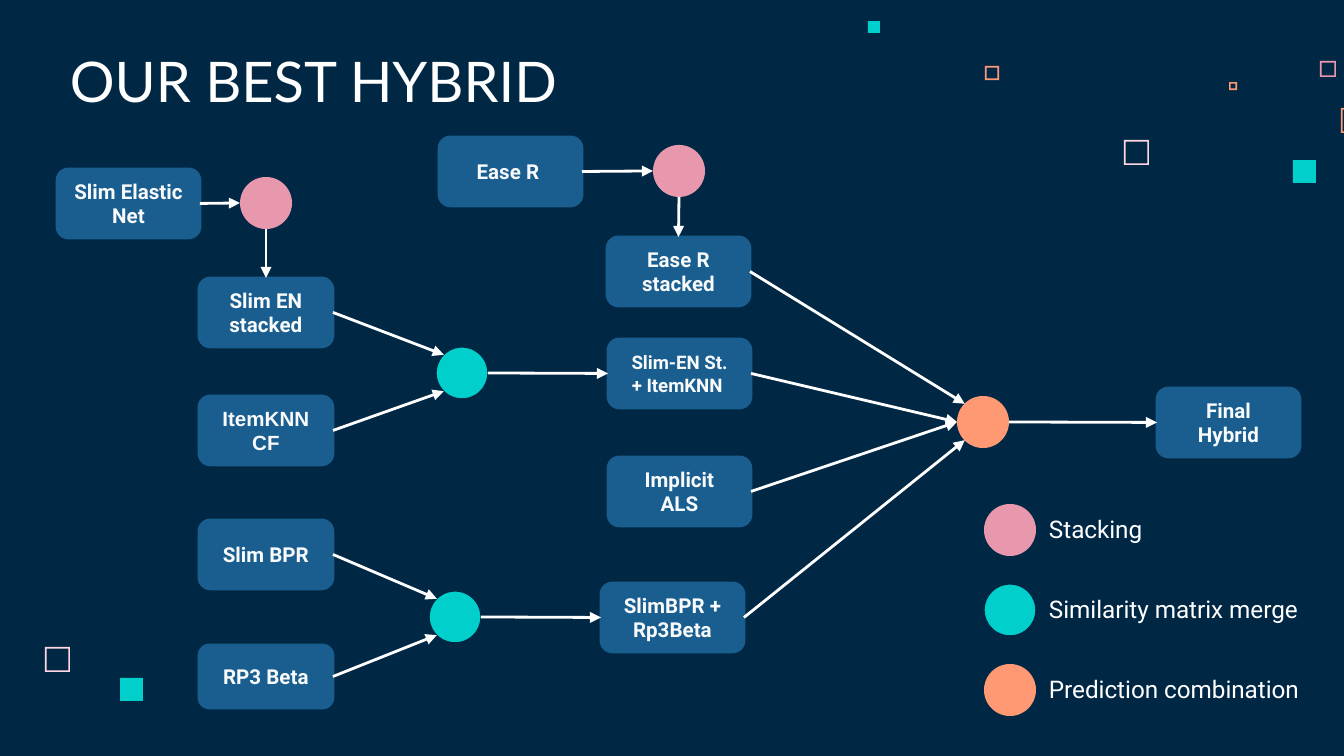
from lxml.etree import SubElement
from pptx import Presentation
from pptx.dml.color import RGBColor
from pptx.enum.shapes import MSO_CONNECTOR, MSO_SHAPE
from pptx.enum.text import MSO_ANCHOR, PP_ALIGN
from pptx.oxml.ns import qn
from pptx.util import Pt

EMU_PER_PX = 914400 / 134.4

NAVY = RGBColor(0x00, 0x28, 0x45)
BLUE = RGBColor(0x1A, 0x5E, 0x8F)
PINK = RGBColor(0xE8, 0x98, 0xAC)
PALE_PINK = RGBColor(0xFF, 0xD6, 0xE1)
TEAL = RGBColor(0x00, 0xCF, 0xCC)
ORANGE = RGBColor(0xFF, 0x99, 0x73)
WHITE = RGBColor(0xFF, 0xFF, 0xFF)
OFF_WHITE = RGBColor(0xF8, 0xFA, 0xFB)

CIRCLE = 52
BOX_W, BOX_H = 143, 69
INPUT_X, INPUT_W = 199, 134
INSET = 13
FRAME_EDGE = 1.6

SOLID_SQUARES = [(1293, 160, 23), (868, 21, 12), (120, 678, 23)]
FRAMES = [
    (1124, 140, 25, PALE_PINK), (1320, 61, 16, PINK), (1229, 82, 8, ORANGE),
    (1341, 108, 25, ORANGE), (985, 66, 14, ORANGE), (45, 647, 25, PALE_PINK),
]

# name: text, x, y, then width, height and font values where they differ
BOXES = {
    "slim_en": ("Slim Elastic Net", 57, 169, {}),
    "ease": ("Ease R ", 439, 137, {}),
    "slim_en_stacked": ("Slim EN stacked", INPUT_X, 278, {"w": INPUT_W}),
    "item_knn": ("ItemKNN\vCF", INPUT_X, 396, {"w": INPUT_W, "font": "Arial"}),
    "slim_bpr": ("Slim BPR", INPUT_X, 520, {"w": INPUT_W}),
    "rp3": ("RP3 Beta", INPUT_X, 645, {"w": INPUT_W, "h": 63}),
    "ease_stacked": ("Ease R stacked", 607, 237, {}),
    "slim_knn": ("Slim-EN St. + ItemKNN ", 608, 339, {"size": 10}),
    "als": ("Implicit ALS", 608, 457, {}),
    "bpr_rp3": ("SlimBPR + Rp3Beta", 601, 583, {}),
    "final": ("Final Hybrid", 1157, 388, {}),
}
CIRCLES = {
    "stack_slim": (240, 177, PINK),
    "stack_ease": (653, 145, PINK),
    "merge_knn": (436, 347, TEAL),
    "merge_bpr": (429, 591, TEAL),
    "combine": (957, 396, ORANGE),
}
ARROWS = [
    ("slim_en", "right", "stack_slim", "left"),
    ("stack_slim", "bottom", "slim_en_stacked", "top"),
    ("ease", "right", "stack_ease", "left"),
    ("stack_ease", "bottom", "ease_stacked", "top"),
    ("slim_en_stacked", "right", "merge_knn", "upper left"),
    ("item_knn", "right", "merge_knn", "lower left"),
    ("slim_bpr", "right", "merge_bpr", "upper left"),
    ("rp3", "right", "merge_bpr", "lower left"),
    ("merge_knn", "right", "slim_knn", "left"),
    ("merge_bpr", "right", "bpr_rp3", "left"),
    ("ease_stacked", "right", "combine", "upper left"),
    ("slim_knn", "right", "combine", "left"),
    ("als", "right", "combine", "left"),
    ("bpr_rp3", "right", "combine", "lower left"),
    ("combine", "right", "final", "left"),
]
# Fractions of a shape's width and height
SIDES = {
    "left": (0, 0.5), "right": (1, 0.5), "top": (0.5, 0), "bottom": (0.5, 1),
    "upper left": (0.15, 0.15), "lower left": (0.15, 0.85),
}
LEGEND = [
    ("Stacking", PINK, 169),
    ("Similarity matrix merge", TEAL, 296),
    ("Prediction combination", ORANGE, 296),
]


def px(n):
    return round(n * EMU_PER_PX)


def add_filled(s, kind, x, y, w, h, color, line=None, line_pt=0.75):
    sp = s.shapes.add_shape(kind, px(x), px(y), px(w), px(h))
    sp.shadow.inherit = False
    sp.fill.solid()
    sp.fill.fore_color.rgb = color
    if line is None:
        sp.line.fill.background()
    else:
        sp.line.color.rgb = line
        sp.line.width = Pt(line_pt)
    return sp


def write(sp, text, font, size, color, bold=False, align=PP_ALIGN.LEFT,
          anchor=MSO_ANCHOR.TOP):
    tf = sp.text_frame
    frame_format = {"word_wrap": True, "vertical_anchor": anchor}
    for side in ("left", "right", "top", "bottom"):
        frame_format[f"margin_{side}"] = px(INSET)
    for name, value in frame_format.items():
        setattr(tf, name, value)
    p = tf.paragraphs[0]
    p.text = text
    p.alignment = align
    for r in p.runs:
        for name, value in {"name": font, "size": Pt(size), "bold": bold}.items():
            setattr(r.font, name, value)
        r.font.color.rgb = color


def add_label(s, text, x, y, w, h, *style, **layout):
    write(s.shapes.add_textbox(px(x), px(y), px(w), px(h)), text, *style, **layout)


def add_box(s, text, x, y, w=BOX_W, h=BOX_H, font="Roboto", size=11):
    sp = add_filled(s, MSO_SHAPE.FLOWCHART_ALTERNATE_PROCESS, x, y, w, h,
                    BLUE, BLUE, 1.5)
    write(sp, text, font, size, OFF_WHITE, True, PP_ALIGN.CENTER, MSO_ANCHOR.MIDDLE)
    return sp


def add_circle(s, x, y, color):
    outline = NAVY if color == TEAL else None
    return add_filled(s, MSO_SHAPE.OVAL, x, y, CIRCLE, CIRCLE, color, outline)


def side_point(sp, side):
    fx, fy = SIDES[side]
    return round(sp.left + fx * sp.width), round(sp.top + fy * sp.height)


def add_arrow(s, start, end):
    line = s.shapes.add_connector(MSO_CONNECTOR.STRAIGHT, *start, *end)
    line.line.color.rgb = WHITE
    line.line.width = Pt(1.5)
    SubElement(line.line._get_or_add_ln(), qn("a:tailEnd"), type="triangle")
    SubElement(line._element.spPr, qn("a:effectLst"))


def add_decoration(s):
    for x, y, size in SOLID_SQUARES:
        add_filled(s, MSO_SHAPE.RECTANGLE, x, y, size, size, TEAL)
    for x, y, size, color in FRAMES:
        sp = add_filled(s, MSO_SHAPE.FRAME, x, y, size, size, color)
        sp.adjustments[0] = FRAME_EDGE / size


def add_legend(s):
    for i, (text, color, w) in enumerate(LEGEND):
        y = 504 + 80 * i
        add_circle(s, 984, y, color)
        add_label(s, text, 1036, y - 3, w, 56, "Roboto", 13, WHITE)


def main():
    prs = Presentation()
    prs.slide_width, prs.slide_height = px(1344), px(756)
    s = prs.slides.add_slide(prs.slide_layouts[6])
    s.background.fill.solid()
    s.background.fill.fore_color.rgb = NAVY

    add_decoration(s)
    add_label(s, "OUR BEST HYBRID", 57, 42, 866, 85, "Lato", 30, WHITE,
              anchor=MSO_ANCHOR.BOTTOM)
    nodes = {name: add_box(s, text, x, y, **options)
             for name, (text, x, y, options) in BOXES.items()}
    nodes.update({name: add_circle(s, *circle) for name, circle in CIRCLES.items()})
    for source, source_side, target, target_side in ARROWS:
        add_arrow(s, side_point(nodes[source], source_side),
                  side_point(nodes[target], target_side))
    add_legend(s)
    prs.save("out.pptx")


if __name__ == "__main__":
    main()
